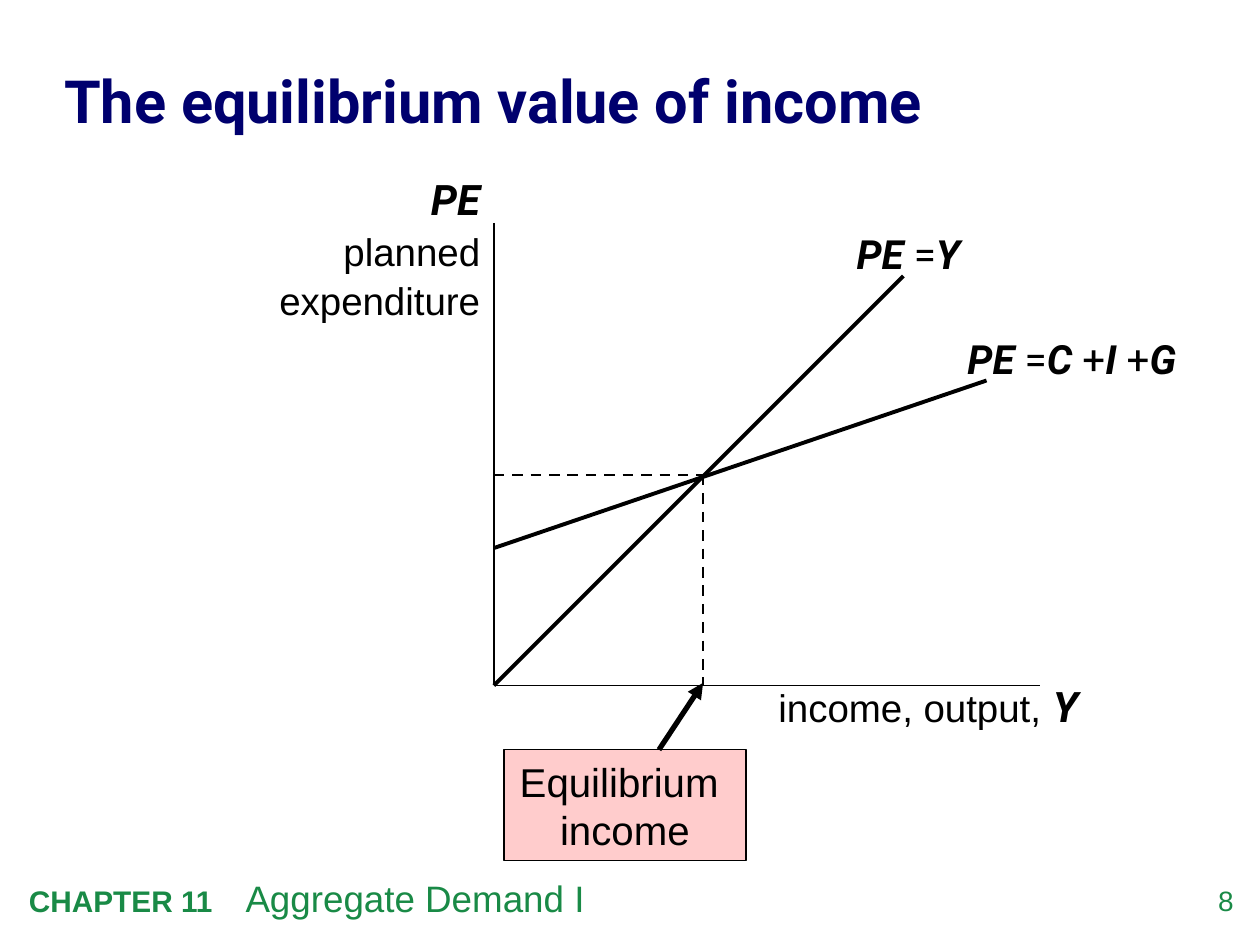
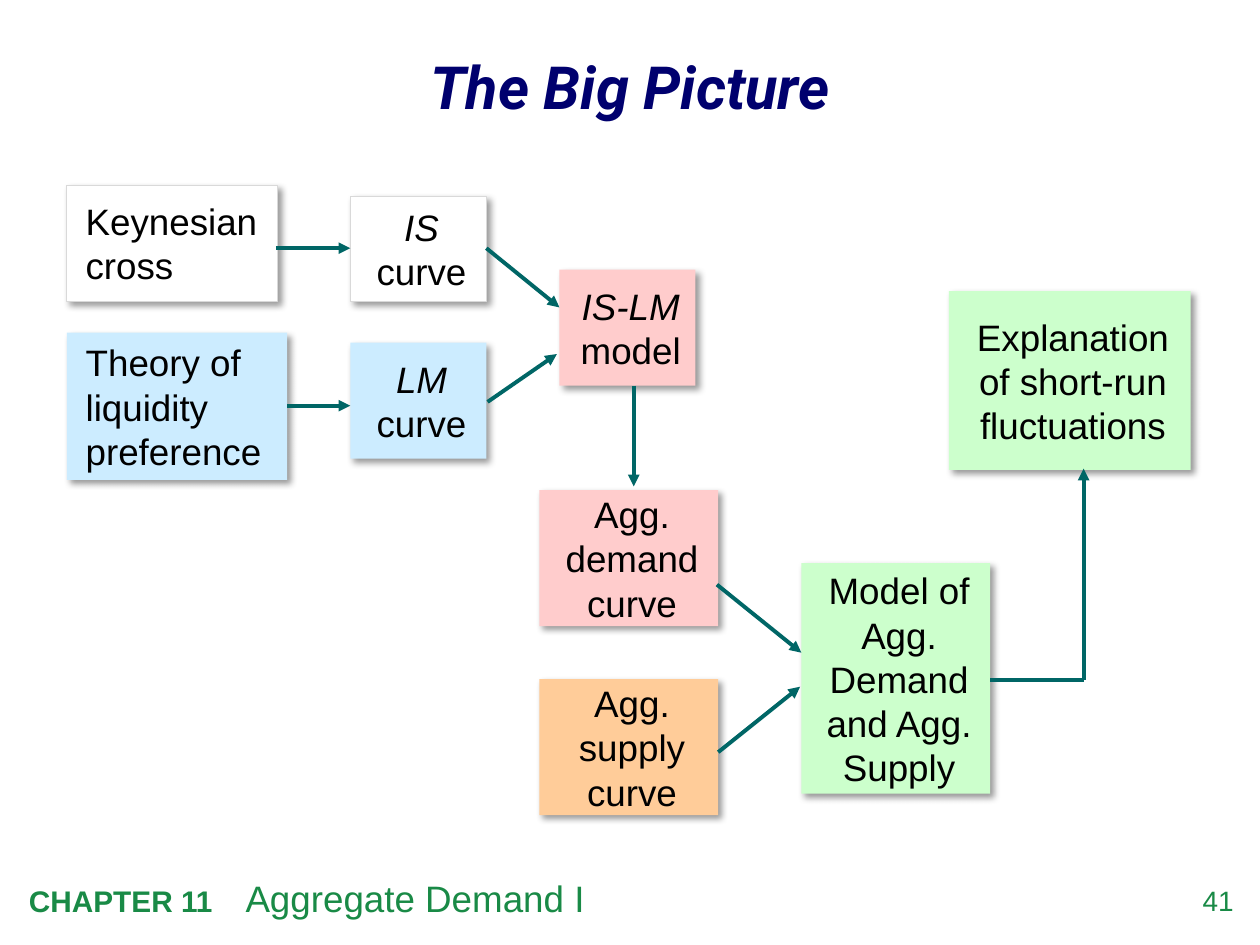
from lxml import etree
from pptx import Presentation
from pptx.dml.color import RGBColor
from pptx.enum.dml import MSO_LINE
from pptx.enum.shapes import MSO_CONNECTOR, MSO_SHAPE
from pptx.enum.text import MSO_ANCHOR, MSO_AUTO_SIZE, PP_ALIGN
from pptx.oxml.ns import qn
from pptx.util import Inches, Pt

LEFT, CENTER, RIGHT = PP_ALIGN.LEFT, PP_ALIGN.CENTER, PP_ALIGN.RIGHT
TOP, MIDDLE = MSO_ANCHOR.TOP, MSO_ANCHOR.MIDDLE
NO_AUTOFIT = MSO_AUTO_SIZE.NONE
STRAIGHT, RECTANGLE, DASH = MSO_CONNECTOR.STRAIGHT, MSO_SHAPE.RECTANGLE, MSO_LINE.DASH
TITLE_ONLY = 5

COLORS = {
    "title": "00006E", "footer": "198A46", "ink": "000000", "arrow": "006666",
    "white": "FFFFFF", "edge": "D9D9D9", "pink": "FFCCCC", "blue": "CCECFF",
    "orange": "FFCC99", "green": "CCFFCC",
}
BODY_FONT, HEAD_FONT = "Arial", "Roboto"
SYMBOL = {"font": HEAD_FONT, "bold": True, "italic": True}
OPERATOR = {"font": HEAD_FONT}
ITALIC = {"italic": True}
BOX_INSETS = (0.15, 0.05, 0.1, 0.05)
TEXT_INSETS = (0.1, 0.05, 0.1, 0.05)
NO_INSETS = (0, 0, 0, 0)


def rgb(name):
    return RGBColor.from_string(COLORS[name])


class Deck:
    """Holds the shared style and the slide being drawn."""

    def __init__(self):
        self.prs = Presentation()
        self.prs.slide_width, self.prs.slide_height = Inches(10), Inches(7.5)
        self.slide = None

    def new_slide(self, number):
        self.slide = self.prs.slides.add_slide(self.prs.slide_layouts[TITLE_ONLY])
        self.footer(number)

    def footer(self, number):
        chapter = self.text((0.13, 6.9, 8.18, 0.45), [[
            ("CHAPTER 11\t", {"size": 17, "bold": True}),
            ("Aggregate Demand I", {}),
        ]], size=21, color="footer")
        tabs = etree.SubElement(chapter.text_frame.paragraphs[0]._p.get_or_add_pPr(),
                                qn("a:tabLst"))
        etree.SubElement(tabs, qn("a:tab"), pos=str(Inches(1.72)), algn="l")
        self.text((9.24, 7.01, 0.55, 0.32), [[(number, {})]], size=16,
                  color="footer", align=RIGHT, insets=NO_INSETS)

    def title(self, at, wording, align, spacing, italic=False):
        title = self.slide.shapes.title
        title.left, title.top, title.width, title.height = map(Inches, at)
        style = {"font": HEAD_FONT, "bold": True, "italic": italic}
        self.fill_text(title.text_frame, [[(wording, style)]], 34, "title",
                       align, MIDDLE, NO_INSETS)
        title.text_frame.paragraphs[0].line_spacing = spacing

    def fill_text(self, frame, paragraphs, size, color, align, anchor, insets, gap=0):
        """Fill a frame; a paragraph is a list of (wording, style) runs."""
        frame.word_wrap, frame.auto_size = True, NO_AUTOFIT
        frame.vertical_anchor = anchor
        (frame.margin_left, frame.margin_top,
         frame.margin_right, frame.margin_bottom) = map(Inches, insets)
        for index, runs in enumerate(paragraphs):
            paragraph = frame.add_paragraph() if index else frame.paragraphs[0]
            paragraph.alignment = align
            paragraph.space_before = Pt(gap)
            for wording, style in runs:
                for row, part in enumerate(wording.split("\n")):
                    if row:
                        paragraph.add_line_break()
                    if not part:
                        continue
                    run = paragraph.add_run()
                    run.text = part
                    run.font.name = style.get("font", BODY_FONT)
                    run.font.size = Pt(style.get("size", size))
                    run.font.bold = style.get("bold", False)
                    run.font.italic = style.get("italic", False)
                    run.font.color.rgb = rgb(color)

    def text(self, at, paragraphs, size, color="ink", align=LEFT,
             insets=TEXT_INSETS, gap=0):
        label = self.slide.shapes.add_textbox(*map(Inches, at))
        self.fill_text(label.text_frame, paragraphs, size, color, align, TOP, insets, gap)
        return label

    def box(self, at, runs, fill, size=21, edge=None, edge_width=0.5,
            align=CENTER, insets=BOX_INSETS, shadow=True):
        box = self.slide.shapes.add_shape(RECTANGLE, *map(Inches, at))
        box.fill.solid()
        box.fill.fore_color.rgb = rgb(fill)
        if edge:
            box.line.color.rgb = rgb(edge)
            box.line.width = Pt(edge_width)
        else:
            box.line.fill.background()
        box.shadow.inherit = False
        if shadow:
            effects = box._element.spPr.find(qn("a:effectLst"))
            outer = etree.SubElement(
                effects, qn("a:outerShdw"), blurRad=str(Pt(4)), dist=str(Pt(3)),
                dir=str(45 * 60000), algn="tl", rotWithShape="0")
            tint = etree.SubElement(outer, qn("a:srgbClr"), val=COLORS["ink"])
            etree.SubElement(tint, qn("a:alpha"), val="40000")
        self.fill_text(box.text_frame, [runs], size, "ink", align, MIDDLE, insets)

    def line(self, start, end, color="ink", width=2.25, dash=None, arrow=False):
        line = self.slide.shapes.add_connector(STRAIGHT, *map(Inches, start + end))
        line.line.color.rgb = rgb(color)
        line.line.width = Pt(width)
        if dash:
            line.line.dash_style = dash
        properties = line._element.spPr
        if arrow:
            etree.SubElement(properties.find(qn("a:ln")), qn("a:tailEnd"), type="triangle")
        etree.SubElement(properties, qn("a:effectLst"))


deck = Deck()

# Slide: Keynesian cross diagram
deck.new_slide("8")
deck.title((0.51, 0.26, 9.02, 1.03), "The equilibrium value of income", LEFT, 1.05)

origin = (3.92, 5.44)
axis_x, axis_y = origin
equilibrium_x, equilibrium_y = 5.58, 3.77

# Axes and their names
deck.line((axis_x, 1.77), origin, width=1)
deck.line(origin, (8.25, axis_y), width=1)
deck.text((6.08, 5.35, 2.83, 0.5), [[
    ("income, output,", {"size": 22}), (" ", {}), ("Y", SYMBOL)]], size=24)
deck.text((1.65, 1.33, 2.26, 1.28), [
    [("PE", {**SYMBOL, "size": 24})], [("planned", {})], [("expenditure", {})],
], size=22, align=RIGHT, gap=2)

# Curves and their equations
deck.line(origin, (7.17, 2.19))
deck.line((axis_x, 4.35), (7.83, 3.02))
deck.text((6.7, 1.77, 1.21, 0.49), [[
    ("PE", SYMBOL), (" =", OPERATOR), ("Y", SYMBOL)]], size=23)
deck.text((7.58, 2.6, 2.25, 0.48), [[
    ("PE", SYMBOL), (" =", OPERATOR), ("C ", SYMBOL), ("+", OPERATOR),
    ("I ", SYMBOL), ("+", OPERATOR), ("G", SYMBOL)]], size=23)

# Equilibrium guides and callout
deck.line((equilibrium_x, equilibrium_y), (equilibrium_x, axis_y), width=1.5, dash=DASH)
deck.line((axis_x, equilibrium_y), (equilibrium_x, equilibrium_y), width=1.5, dash=DASH)
deck.box((4, 5.95, 1.92, 0.88), [("Equilibrium \nincome", {})], "pink", size=23,
         edge="ink", edge_width=0.75, insets=TEXT_INSETS, shadow=False)
deck.line((5.23, 5.95), (equilibrium_x, 5.42), width=3, arrow=True)

# Slide: flow from building blocks to explanation
deck.new_slide("41")
deck.title((0, 0.16, 10, 1.1), "The Big Picture", CENTER, 0.95, italic=True)

# Starting theories and their curves
deck.box((0.53, 1.47, 1.67, 0.92), [("Keynesian\ncross", {})], "white",
         edge="edge", align=LEFT)
deck.box((0.53, 2.64, 1.75, 1.17), [("Theory of liquidity preference", {})], "blue",
         align=LEFT)
deck.box((2.78, 1.56, 1.08, 0.83), [("IS\n", ITALIC), ("curve", {})], "white", edge="edge")

# Remaining steps
steps = [
    ((2.78, 2.72, 1.08, 0.92), [("LM", ITALIC), (" curve", {})], "blue"),
    ((4.44, 2.14, 1.08, 0.92), [("IS-LM\n", ITALIC), ("model", {})], "pink"),
    ((4.28, 3.89, 1.42, 1.08), [("Agg. demand\ncurve", {})], "pink"),
    ((4.28, 5.39, 1.42, 1.08), [("Agg. supply\ncurve", {})], "orange"),
    ((6.36, 4.47, 1.5, 1.83), [("Model of Agg. Demand and Agg. Supply", {})], "green"),
    ((7.53, 2.31, 1.92, 1.42), [("Explanation of short-run fluctuations", {})], "green"),
]
for at, runs, fill in steps:
    deck.box(at, runs, fill)

# Arrows between steps; the last one turns a corner
corner = (8.6, 5.4)
arrows = [
    ((2.19, 1.97), (2.78, 1.97)),
    ((2.28, 3.22), (2.78, 3.22)),
    ((3.86, 1.97), (4.44, 2.44)),
    ((3.87, 3.19), (4.42, 2.81)),
    ((5.03, 3.06), (5.03, 3.86)),
    ((5.69, 4.64), (6.36, 5.18)),
    ((5.7, 5.97), (6.35, 5.45)),
    (corner, (8.6, 3.72)),
]
for start, end in arrows:
    deck.line(start, end, color="arrow", arrow=True)
deck.line((7.86, 5.4), corner, color="arrow")

deck.prs.save("out.pptx")
